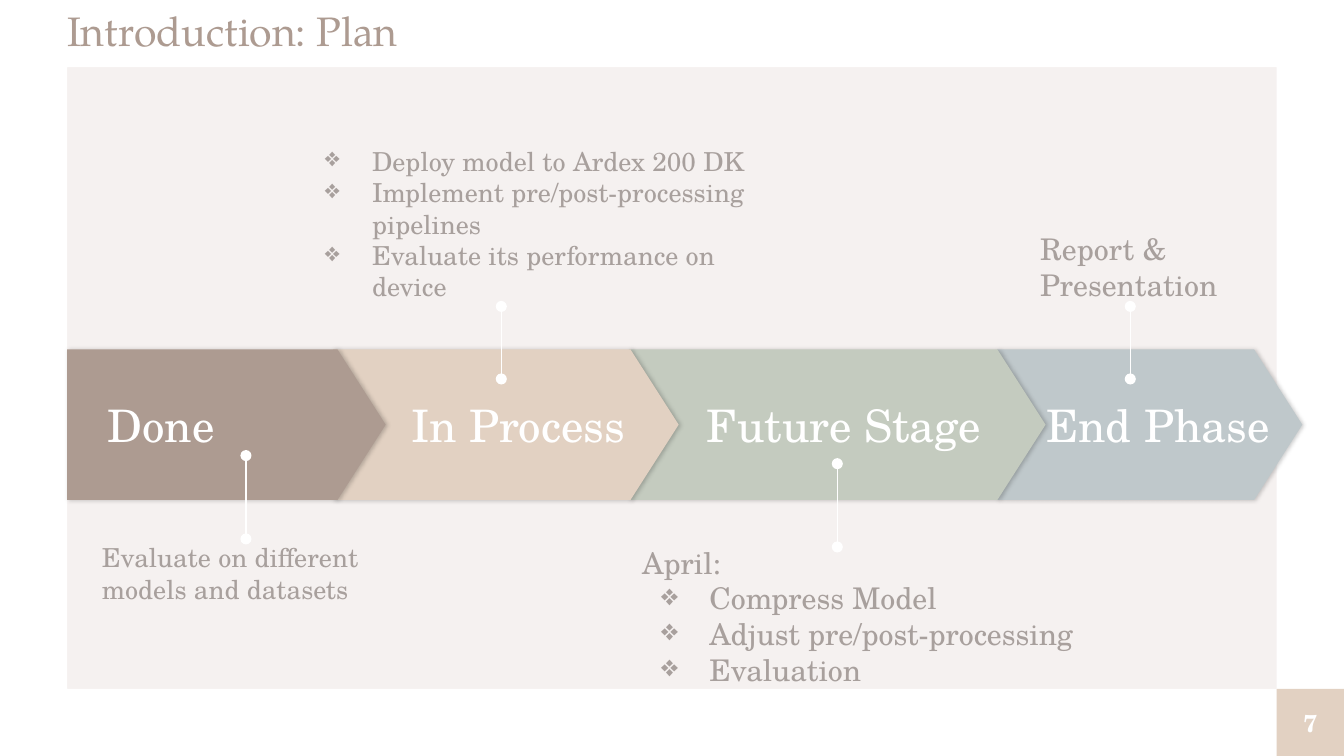
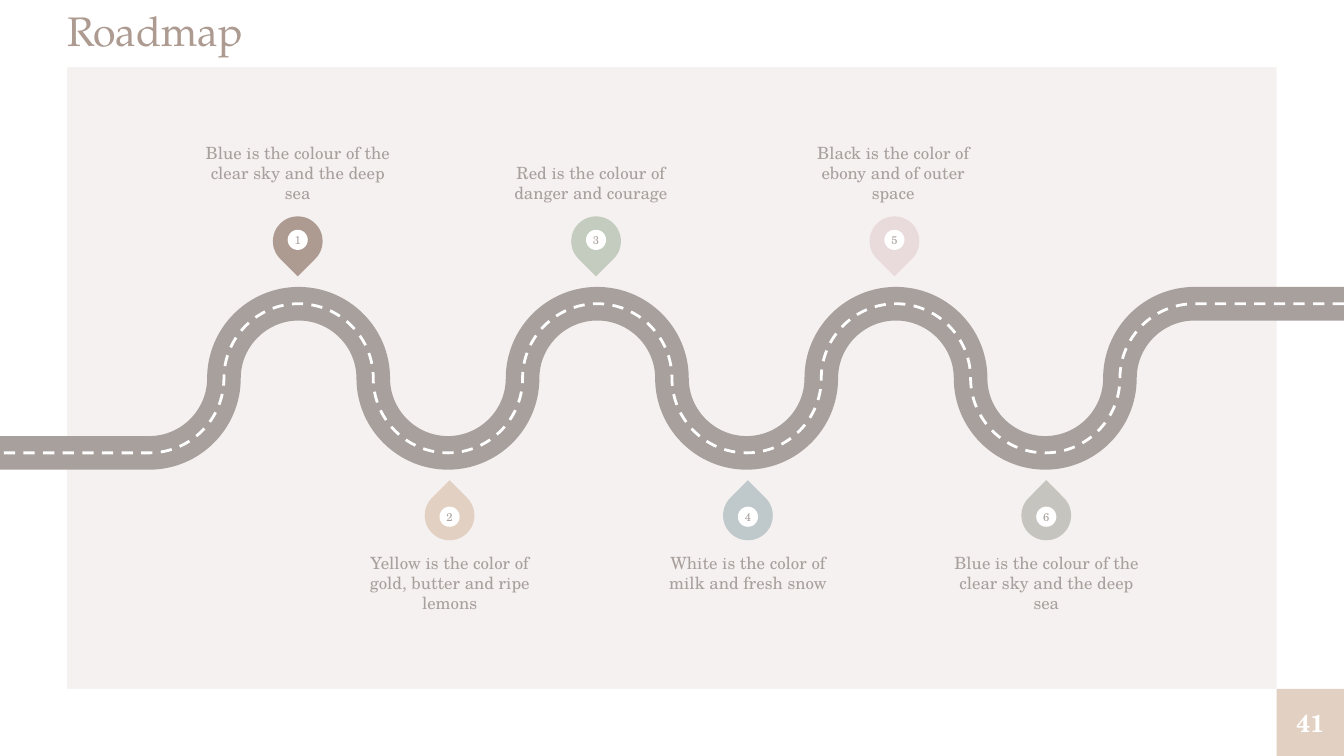
from dataclasses import dataclass

from pptx import Presentation
from pptx.dml.color import RGBColor
from pptx.enum.dml import MSO_LINE_DASH_STYLE
from pptx.enum.shapes import MSO_CONNECTOR, MSO_SHAPE
from pptx.enum.text import MSO_ANCHOR, MSO_AUTO_SIZE, PP_ALIGN
from pptx.oxml import parse_xml
from pptx.oxml.ns import nsdecls, qn
from pptx.oxml.xmlchemy import OxmlElement
from pptx.presentation import Presentation as Deck
from pptx.shapes.autoshape import Shape
from pptx.shapes.group import GroupShape
from pptx.slide import Slide
from pptx.util import Inches, Pt

RECT, FRAME, ARROW = MSO_SHAPE.RECTANGLE, MSO_SHAPE.FRAME, MSO_SHAPE.PENTAGON
DROP, OVAL = MSO_SHAPE.TEAR, MSO_SHAPE.OVAL
TOP, MIDDLE, BOTTOM = MSO_ANCHOR.TOP, MSO_ANCHOR.MIDDLE, MSO_ANCHOR.BOTTOM
LEFT, CENTER = PP_ALIGN.LEFT, PP_ALIGN.CENTER
GROW = MSO_AUTO_SIZE.SHAPE_TO_FIT_TEXT
STRAIGHT = MSO_CONNECTOR.STRAIGHT
DASH = MSO_LINE_DASH_STYLE.DASH

PAPER, WHITE, GRAY = "F5F1F0", "FFFFFF", "A8A09D"
BROWN, SAND, SAGE = "AD9B91", "E2D1C2", "C4CBBF"
BLUE, ROSE, STONE = "BFC8CB", "E9DBDB", "C5C4BF"
SERIF, BODY = "TeX Gyre Pagella", "TeX Gyre Schola"

WIDTH = Inches(10)
HEIGHT = WIDTH * 9 // 16
BAND = Inches(0.5)
STEP = 10 / 9
CREST, DIP = 2.26, 3.37


@dataclass
class Box:
    left: float
    top: float
    width: float
    height: float

    def span(self) -> tuple[int, int, int, int]:
        return (Inches(self.left), Inches(self.top),
                Inches(self.width), Inches(self.height))


@dataclass
class Look:
    size: float
    hue: str = GRAY
    face: str = BODY
    bold: bool = False
    align: PP_ALIGN = LEFT
    anchor: MSO_ANCHOR = TOP
    pad: float = 0
    inset: float = 0


@dataclass
class Stage:
    text: str
    left: float
    width: float
    hue: str
    inset: float = 0.58
    align: PP_ALIGN = LEFT


@dataclass
class Note:
    box: Box
    size: int
    lines: list[str]
    points: list[str]
    hang: float = 0.36


@dataclass
class Stem:
    x: float
    start: float
    end: float


@dataclass
class Pin:
    hue: str
    left: float
    text: str


STAGES = [
    Stage("End Phase", 7.42, 2.27, BLUE, 0.3, CENTER),
    Stage("Future Stage", 4.68, 3.1, SAGE),
    Stage("In Process", 2.48, 2.57, SAND),
    Stage("Done", 0.5, 2.37, BROWN, 0.3),
]
STEMS = [Stem(3.73, 2.82, 2.28), Stem(8.41, 2.82, 2.28),
         Stem(1.83, 3.39, 4.01), Stem(6.23, 3.45, 4.07)]
NOTES = [
    Note(Box(0.66, 3.93, 2.37, 0.67), 14,
         ["Evaluate on different models and datasets"], []),
    Note(Box(2.17, 0.98, 3.73, 1.38), 14, [],
         ["Deploy model to Ardex 200 DK",
          "Implement pre/post-processing pipelines",
          "Evaluate its performance on device"], 0.35),
    Note(Box(4.68, 3.95, 3.48, 1.55), 16, ["April:"],
         ["Compress Model", "Adjust pre/post-processing", "Evaluation"]),
    Note(Box(7.64, 1.62, 1.81, 0.74), 16, ["Report & Presentation"], []),
]
PINS = [
    Pin(BROWN, 1.51, "Blue is the colour of the clear sky and the deep sea"),
    Pin(SAND, 2.64, "Yellow is the color of gold, butter and ripe lemons"),
    Pin(SAGE, 3.69, "Red is the colour of danger and courage"),
    Pin(BLUE, 4.86, "White is the color of milk and fresh snow"),
    Pin(ROSE, 5.94, "Black is the color of ebony and of outer space"),
    Pin(STONE, 7.08, "Blue is the colour of the clear sky and the deep sea"),
]


def tint(code: str) -> RGBColor:
    return RGBColor.from_string(code)


def draw(host: Slide | GroupShape, kind: MSO_SHAPE,
         span: tuple[int, int, int, int], hue: str) -> Shape:
    shape = host.shapes.add_shape(kind, *span)
    shape.shadow.inherit = False
    shape.fill.solid()
    shape.fill.fore_color.rgb = tint(hue)
    shape.line.fill.background()
    return shape


def dot(item, hang: float) -> None:
    props = item._p.get_or_add_pPr()
    props.set("marL", str(Inches(0.5)))
    props.set("indent", str(-Inches(hang)))
    props.append(parse_xml(
        f'<a:buClr {nsdecls("a")}><a:srgbClr val="{GRAY}"/></a:buClr>'))
    props.append(parse_xml(f'<a:buChar {nsdecls("a")} char="❖"/>'))


def write(shape: Shape, lines: list[str], look: Look,
          points: list[str] | None = None, hang: float = 0) -> None:
    frame = shape.text_frame
    frame.word_wrap = True
    frame.vertical_anchor = look.anchor
    frame.margin_top = frame.margin_bottom = Inches(look.pad)
    frame.margin_right = Inches(look.pad)
    frame.margin_left = Inches(look.pad + look.inset)
    for index, text in enumerate(lines + (points or [])):
        item = frame.add_paragraph() if index else frame.paragraphs[0]
        item.text = text
        item.alignment = look.align
        if index >= len(lines):
            dot(item, hang)
        font = item.font
        font.name, font.size, font.bold = look.face, Pt(look.size), look.bold
        font.color.rgb = tint(look.hue)


def label(slide: Slide, box: Box, text: str, look: Look) -> Shape:
    shape = slide.shapes.add_textbox(*box.span())
    write(shape, [text], look)
    return shape


def start(deck: Deck, title: str, page: int) -> Slide:
    slide = deck.slides.add_slide(deck.slide_layouts[6])
    slide.background.fill.solid()
    slide.background.fill.fore_color.rgb = tint(PAPER)
    frame = draw(slide, FRAME, (0, 0, WIDTH, HEIGHT), WHITE)
    frame.adjustments[0] = BAND / HEIGHT
    head = label(slide, Box(0.5, 0, 9, 0.5), title,
                 Look(22, BROWN, SERIF, anchor=MIDDLE))
    head.text_frame.paragraphs[0].line_spacing = 0.9
    badge = draw(slide, RECT, (WIDTH - BAND, HEIGHT - BAND, BAND, BAND), SAND)
    write(badge, [str(page)],
          Look(13, WHITE, bold=True, align=CENTER, anchor=MIDDLE))
    return slide


def shade(shape: Shape) -> None:
    glow = parse_xml(
        f'<a:outerShdw {nsdecls("a")} blurRad="{Pt(2.2)}" dist="{Pt(0.8)}" '
        'dir="0" algn="l" rotWithShape="0"><a:srgbClr val="000000">'
        '<a:alpha val="20000"/></a:srgbClr></a:outerShdw>')
    shape.element.spPr.find(qn("a:effectLst")).append(glow)


def add_stage(slide: Slide, stage: Stage) -> None:
    box = Box(stage.left, 2.6, stage.width, 1.12)
    shape = draw(slide, ARROW, box.span(), stage.hue)
    shape.adjustments[0] = 0.32
    shade(shape)
    write(shape, [stage.text], Look(24, WHITE, align=stage.align,
                                    anchor=MIDDLE, inset=stage.inset))


def add_stem(slide: Slide, stem: Stem) -> None:
    x = Inches(stem.x)
    line = slide.shapes.add_connector(
        STRAIGHT, x, Inches(stem.start), x, Inches(stem.end))
    line.line.color.rgb = tint(WHITE)
    line.line.width = Pt(0.75)
    props = line.element.spPr
    for name in ("a:headEnd", "a:tailEnd"):
        end = OxmlElement(name)
        end.set("type", "oval")
        props.find(qn("a:ln")).append(end)
    props.append(OxmlElement("a:effectLst"))


def add_note(slide: Slide, note: Note) -> None:
    shape = slide.shapes.add_textbox(*note.box.span())
    write(shape, note.lines, Look(note.size, pad=0.1), note.points, note.hang)
    shape.text_frame.auto_size = GROW


def bends() -> list[tuple[float, float]]:
    half, pull, mid = STEP / 2, STEP / 2 * 0.55, (CREST + DIP) / 2
    spots = [(10 - STEP, CREST)]
    for turn in range(7):
        x = 10 - STEP * (turn + 1)
        y, goal = (DIP, CREST) if turn % 2 else (CREST, DIP)
        lean = pull if goal > y else -pull
        spots += [(x - pull, y), (x - half, mid - lean), (x - half, mid),
                  (x - half, mid + lean), (x - STEP + pull, goal),
                  (x - STEP, goal)]
    return spots + [(0, DIP)]


def add_road(slide: Slide, hue: str, width: float) -> Shape:
    pen = slide.shapes.build_freeform(WIDTH, Inches(CREST))
    pen.add_line_segments([(Inches(x), Inches(y)) for x, y in bends()], False)
    road = pen.convert_to_shape()
    nodes = list(road.element.iter(qn("a:lnTo")))
    for index in range(1, len(nodes) - 1, 3):
        curve = OxmlElement("a:cubicBezTo")
        nodes[index].addprevious(curve)
        for node in nodes[index:index + 3]:
            curve.append(node[0])
            node.getparent().remove(node)
    road.shadow.inherit = False
    road.fill.background()
    road.line.color.rgb = tint(hue)
    road.line.width = Pt(width)
    return road


def add_pin(slide: Slide, index: int, pin: Pin) -> None:
    column, low = divmod(index, 2)
    left = 2.03 + 2.22 * column + 1.13 * low
    top, eye, base = (3.65, 3.77, 4.11) if low else (1.61, 1.71, 0.93)
    group = slide.shapes.add_group_shape()
    drop = draw(group, DROP, Box(left, top, 0.37, 0.37).span(), pin.hue)
    drop.rotation = 315 if low else 135
    disc = draw(group, OVAL, Box(left + 0.11, eye, 0.15, 0.15).span(), WHITE)
    write(disc, [str(index + 1)], Look(6, align=CENTER, anchor=MIDDLE))
    label(slide, Box(pin.left, base, 1.41, 0.58), pin.text,
          Look(9, align=CENTER, anchor=TOP if low else BOTTOM))


def make_plan(deck: Deck) -> None:
    slide = start(deck, "Introduction: Plan", 7)
    for stage in STAGES:
        add_stage(slide, stage)
    for stem in STEMS:
        add_stem(slide, stem)
    for note in NOTES:
        add_note(slide, note)


def make_map(deck: Deck) -> None:
    slide = start(deck, "Roadmap", 41)
    add_road(slide, GRAY, 18)
    add_road(slide, WHITE, 1.5).line.dash_style = DASH
    for index, pin in enumerate(PINS):
        add_pin(slide, index, pin)


def main() -> None:
    deck = Presentation()
    deck.slide_width, deck.slide_height = WIDTH, HEIGHT
    make_plan(deck)
    make_map(deck)
    deck.save("out.pptx")


if __name__ == "__main__":
    main()
